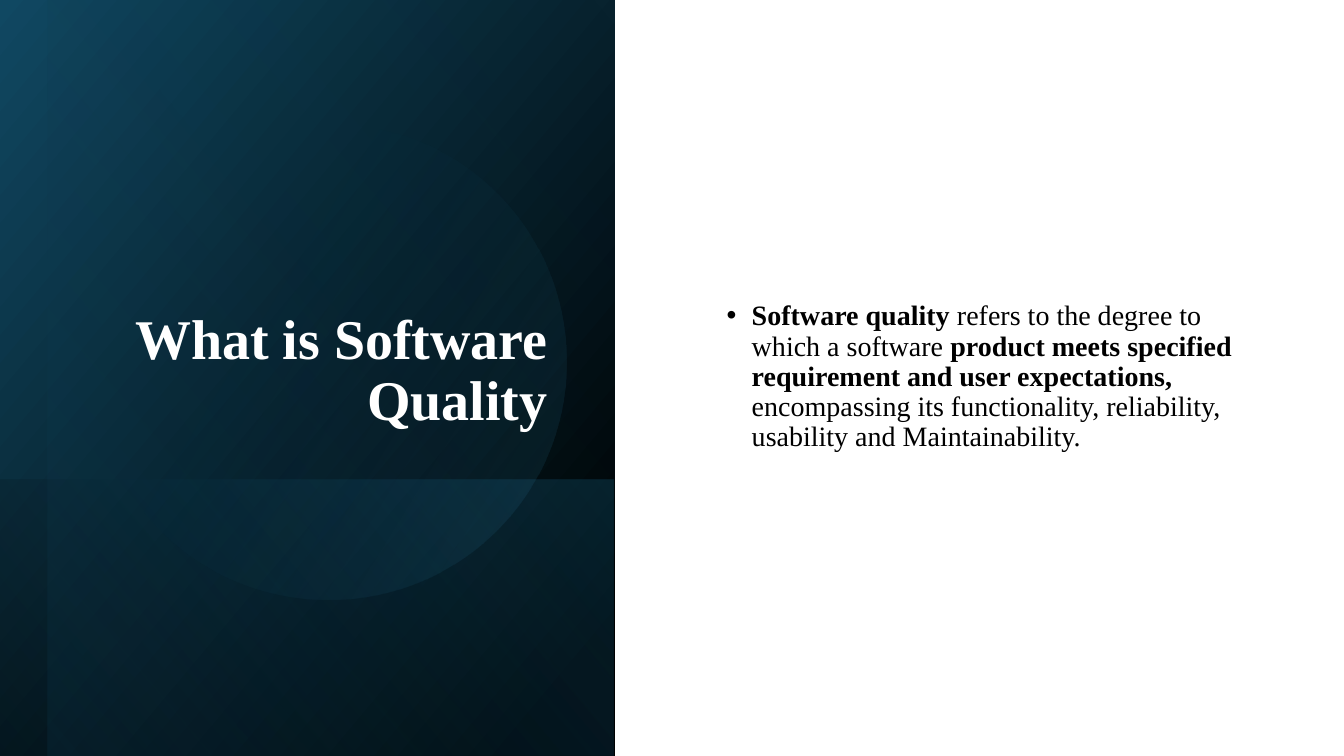
from dataclasses import dataclass

from lxml import etree
from pptx import Presentation
from pptx.dml.color import RGBColor
from pptx.enum.shapes import MSO_SHAPE as SHAPE
from pptx.enum.text import MSO_ANCHOR as ANCHOR, PP_ALIGN as ALIGN
from pptx.oxml.ns import qn
from pptx.util import Pt


@dataclass(frozen=True)
class Theme:
    font: str = "Times New Roman"
    white: str = "FFFFFF"
    black: str = "000000"
    navy: str = "104862"
    teal: str = "156082"
    sky: str = "46B1E1"
    title_size: int = 40
    body_size: int = 20
    line_spacing: float = 0.9


THEME = Theme()


def set_gradient(sp, stops, angle):
    """Fill with stops of (position %, colour, opacity %)."""
    grad = etree.Element(qn("a:gradFill"), rotWithShape="1")
    gs_list = etree.SubElement(grad, qn("a:gsLst"))
    for pos, color, opacity in stops:
        gs = etree.SubElement(gs_list, qn("a:gs"), pos=str(pos * 1000))
        clr = etree.SubElement(gs, qn("a:srgbClr"), val=color)
        etree.SubElement(clr, qn("a:alpha"), val=str(opacity * 1000))
    etree.SubElement(grad, qn("a:lin"), ang=str(angle * 60000), scaled="0")
    sp._element.spPr.find(qn("a:prstGeom")).addnext(grad)


def add_shade(slide, kind, box, stops, angle, rotation=0):
    x, y, w, h = box
    sp = slide.shapes.add_shape(kind, Pt(x), Pt(y), Pt(w), Pt(h))
    sp.rotation = rotation
    sp.shadow.inherit = False
    sp.line.fill.background()
    set_gradient(sp, stops, angle)
    return sp


def add_turned_rect(slide, box, stops, angle):
    """A mirrored rectangle, turned a quarter, that covers the box."""
    x, y, w, h = box
    turned = (x + (w - h) / 2, y + (h - w) / 2, h, w)
    sp = add_shade(slide, SHAPE.RECTANGLE, turned, stops, angle, 90)
    sp._element.spPr.find(qn("a:xfrm")).set("flipH", "1")


def add_text(slide, box, runs, size, color, anchor, align=ALIGN.LEFT, bullet=None):
    """Add one paragraph from runs of (text, bold)."""
    x, y, w, h = box
    tf = slide.shapes.add_textbox(Pt(x), Pt(y), Pt(w), Pt(h)).text_frame
    tf.word_wrap = True
    tf.vertical_anchor = anchor
    p = tf.paragraphs[0]
    p.alignment = align
    p.line_spacing = THEME.line_spacing
    if bullet:
        pPr = p._p.get_or_add_pPr()
        pPr.set("marL", str(Pt(18)))
        pPr.set("indent", str(-Pt(18)))
        etree.SubElement(pPr, qn("a:buFont"), typeface="Arial")
        etree.SubElement(pPr, qn("a:buChar"), char=bullet)
    for text, bold in runs:
        r = p.add_run()
        r.text = text
        r.font.name = THEME.font
        r.font.size = Pt(size)
        r.font.bold = bold
        r.font.color.rgb = RGBColor.from_string(color)


def title_panel(slide, box, title):
    x, y, w, h = box
    t = THEME
    # Dark base, lower band and side column
    add_turned_rect(slide, box, [(8, t.black, 100), (100, t.navy, 100)], 50)
    add_turned_rect(slide, (x - 0.7, y + h - 197.3, w, 197.3),
                    [(2, t.teal, 29), (100, t.black, 30)], 130)
    add_turned_rect(slide, (x + 34, y, w - 34, h),
                    [(0, t.black, 0), (99, t.teal, 11)], 130)
    # Glow behind the title
    add_shade(slide, SHAPE.OVAL, (x + 64.8, y + 88.6, 339.8, 339.8),
              [(39, t.teal, 0), (100, t.sky, 15)], 290, 101.6)
    add_text(slide, (x + 64.8, y + 46, 333.4, 266.4), [(title, True)],
             t.title_size, t.white, ANCHOR.BOTTOM, ALIGN.RIGHT)


def definition(slide, box, runs):
    x, y, w, h = box
    add_text(slide, (x + 72.7, y + 51, w - 137.5, h - 103), runs,
             THEME.body_size, THEME.black, ANCHOR.MIDDLE, bullet="•")


def main():
    prs = Presentation()
    width, height, panel = 960, 540, 439.2
    prs.slide_width, prs.slide_height = Pt(width), Pt(height)
    slide = prs.slides.add_slide(prs.slide_layouts[6])
    title_panel(slide, (0, 0, panel, height), "What is Software Quality")
    definition(slide, (panel, 0, width - panel, height), [
        ("Software quality ", True),
        ("refers to the degree to which a software ", False),
        ("product meets specified requirement and user expectations,", True),
        (" encompassing its functionality, reliability, usability and "
         "Maintainability.", False),
    ])
    prs.save("out.pptx")


if __name__ == "__main__":
    main()
